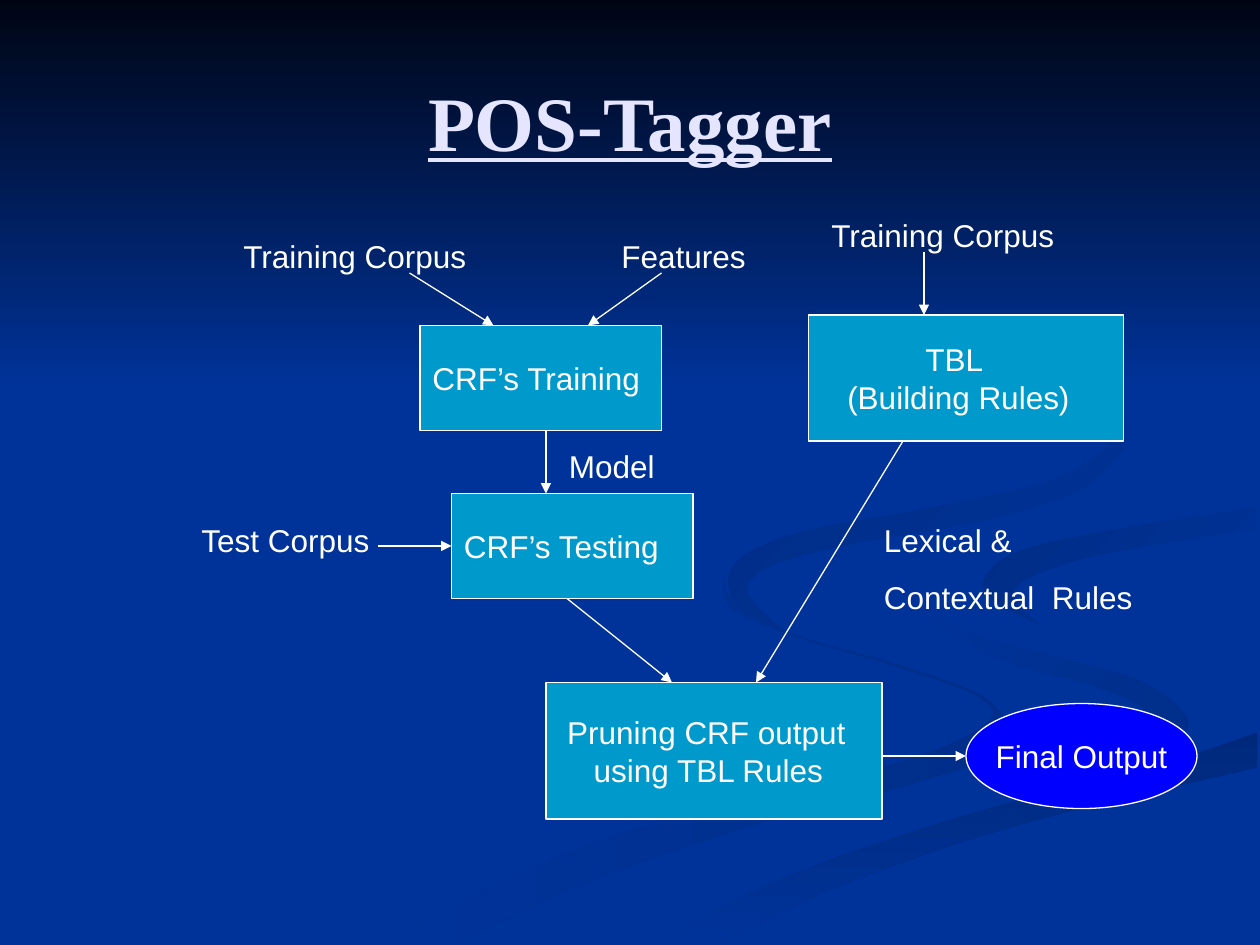
"""Build the POS-Tagger flow diagram on a grid of twelfths of an inch."""
from lxml import etree
from pptx import Presentation
from pptx.dml import color
from pptx.enum import shapes, text
from pptx.oxml import ns
from pptx.util import Inches, Pt

GRID = 12
CURVE_STEPS = 6
WHITE, NAVY, TEAL, BLUE = "FFFFFF", "003399", "0099CC", "0000FF"
LEFT, CENTER = text.PP_ALIGN.LEFT, text.PP_ALIGN.CENTER
TOP, MIDDLE = text.MSO_ANCHOR.TOP, text.MSO_ANCHOR.MIDDLE
RECTANGLE, OVAL = shapes.MSO_SHAPE.RECTANGLE, shapes.MSO_SHAPE.OVAL


def paint(value):
    """Return the colour for a hex string."""
    return color.RGBColor.from_string(value)


def smooth(knots):
    """Return points of a Catmull-Rom curve through the knots."""
    padded = [knots[0], *knots, knots[-1]]
    points = [knots[0]]
    for corners in zip(padded, padded[1:], padded[2:], padded[3:]):
        for step in range(1, CURVE_STEPS + 1):
            t = step / CURVE_STEPS
            points.append(tuple(
                b + t * (c - a) / 2 + t**2 * (2*a - 5*b + 4*c - d) / 2 + t**3 * (3*b - a - 3*c + d) / 2
                for a, b, c, d in zip(*corners)))
    return points


deck = Presentation()
deck.slide_width, deck.slide_height = Inches(10), Inches(7.5)
page = deck.slides.add_slide(deck.slide_layouts[6])
page.background.fill.solid()
page.background.fill.fore_color.rgb = paint(NAVY)

lower_left_ribbon = [
    [(5.75, 4.59), (5.81, 4.83), (6.31, 5.05), (7.14, 5.3), (7.76, 5.53), (7.83, 5.74),
     (7.14, 6.05), (5.79, 6.39), (4.58, 6.74), (3, 7.49)],
    [(3.61, 7.49), (4.66, 7), (5.94, 6.56), (7.21, 6.23), (7.86, 6.01), (8, 5.81),
     (7.81, 5.53), (7.15, 5.28), (6.26, 5.02), (5.79, 4.73), (5.75, 4.59)]]
right_ribbon = [
    [(7.24, 4.64), (7.33, 4.88), (7.97, 5.24), (8.68, 5.44), (9.07, 5.62), (9.17, 5.85), (8.94, 6.05)],
    [(8.94, 6.05), (9.32, 5.89), (9.43, 5.7), (9.05, 5.4), (8.3, 5.19), (7.58, 4.98), (7.24, 4.64)]]
bottom_ribbon = [
    [(5.03, 7.49), (5.69, 7.19), (6.96, 6.69), (8.31, 6.29), (9.36, 6.02), (9.98, 5.81)],
    [(9.98, 6.09), (8.21, 6.51), (6.95, 6.92), (6.14, 7.26), (5.71, 7.49)]]
main_ribbon = [
    [(9.99, 3.87), (9.2, 4.01), (8.3, 4.15), (7.55, 4.32), (7.25, 4.64), (7.59, 4.98), (8.31, 5.19),
     (9.05, 5.4), (9.43, 5.7), (9.19, 5.97), (8.13, 6.25), (6.63, 6.68), (4.77, 7.49)],
    [(5.19, 7.47), (6.3, 6.93), (7.65, 6.47), (9.04, 6.1), (9.99, 5.81)],
    [(9.99, 5.38), (9.04, 5.19), (8.17, 4.92), (7.81, 4.63), (8.11, 4.37), (8.99, 4.18), (9.99, 4.02)]]
edge_ribbon = [
    [(9.98, 4.02), (8.98, 4.18), (8.1, 4.37), (7.81, 4.6), (7.91, 4.78), (8.26, 4.96)],
    [(8.26, 4.96), (8.05, 4.76), (8.16, 4.59), (8.78, 4.39), (9.98, 4.2)]]
upper_ribbon = [
    [(7.62, 2.33), (8.21, 2.61), (8.73, 2.99), (8.94, 3.44), (8.67, 3.84), (7.86, 4.12), (6.83, 4.3),
     (6.14, 4.48), (5.93, 4.7), (6.22, 5)],
    [(6.22, 5), (5.84, 4.79), (5.84, 4.46), (6.37, 4.22), (7.33, 4.04), (8.42, 3.78), (8.89, 3.35),
     (8.62, 2.92), (7.62, 2.33)]]
sky = [[(0, 0), (0, 3.08)], [(10, 3.08), (10, 0)]]

backdrop = [
    (lower_left_ribbon, "002E8A", NAVY, 180),
    (right_ribbon, "002E8A", NAVY, 135),
    (bottom_ribbon, "00297C", NAVY, 270),
    (main_ribbon, NAVY, NAVY, 0),
    (edge_ribbon, NAVY, "002C85", 135),
    (upper_ribbon, NAVY, "002B81", 135),
    (sky, "000514", NAVY, 270)]
for edges, first, last, angle in backdrop:
    outline = [(Inches(x), Inches(y)) for edge in edges for x, y in smooth(edge)]
    builder = page.shapes.build_freeform(*outline[0])
    builder.add_line_segments(outline[1:], close=True)
    area = builder.convert_to_shape()
    area.shadow.inherit = False
    area.line.fill.background()
    if first == last:
        area.fill.solid()
        area.fill.fore_color.rgb = paint(first)
    else:
        area.fill.gradient()
        area.fill.gradient_angle = angle
        for stop, value in zip(area.fill.gradient_stops, (first, last)):
            stop.color.rgb = paint(value)

heading = page.shapes.add_textbox(*[Inches(n / GRID) for n in (6, 4, 108, 15)])
heading.text_frame.word_wrap = True
heading.text_frame.vertical_anchor = MIDDLE
para = heading.text_frame.paragraphs[0]
para.alignment = CENTER
span = para.add_run()
span.text = "POS-Tagger"
span.font.name, span.font.size = "Times New Roman", Pt(44)
span.font.bold = span.font.underline = True
span.font.color.rgb = paint("E5E5FF")

steps = [
    (RECTANGLE, (40, 31, 23, 10), TEAL, LEFT, [("CRF’s Training", 0)]),
    (RECTANGLE, (77, 30, 30, 12), TEAL, LEFT, [("TBL", 0.83), ("(Building Rules)", 0.21)]),
    (RECTANGLE, (43, 47, 23, 10), TEAL, LEFT, [("CRF’s Testing", 0)]),
    (RECTANGLE, (52, 65, 32, 13), TEAL, LEFT, [("Pruning CRF output", 0.07), ("using TBL Rules", 0.28)]),
    (OVAL, (92, 67, 22, 10), BLUE, CENTER, [("Final Output", 0)])]
labels = [
    (None, (22, 22, 24, 5), None, LEFT, [("Training Corpus", 0)]),
    (None, (58, 22, 17, 5), None, LEFT, [("Features", 0)]),
    (None, (78, 20, 24, 5), None, LEFT, [("Training Corpus", 0)]),
    (None, (53, 42, 11, 5), None, LEFT, [("Model", 0)]),
    (None, (18, 49, 19, 5), None, LEFT, [("Test Corpus", 0)]),
    (None, (83, 49, 27, 10), None, LEFT, [("Lexical &", 0), ("Contextual  Rules", 0)])]
for kind, cells, fill, align, lines in steps + labels:
    place = [Inches(n / GRID) for n in cells]
    if kind is None:
        box = page.shapes.add_textbox(*place)
    else:
        box = page.shapes.add_shape(kind, *place)
        box.shadow.inherit = False
        box.fill.solid()
        box.fill.fore_color.rgb = paint(fill)
        box.line.color.rgb = paint(WHITE)
        box.line.width = Pt(0.75)
    frame = box.text_frame
    frame.word_wrap = kind is None
    frame.vertical_anchor = TOP if kind is None else MIDDLE
    for number, (wording, indent) in enumerate(lines):
        para = frame.add_paragraph() if number else frame.paragraphs[0]
        para.alignment = align
        para._p.get_or_add_pPr().set("marL", str(Inches(indent)))
        if kind is None and number:
            para.space_before = Pt(11.2)
        span = para.add_run()
        span.text = wording
        span.font.name, span.font.size = "Arial", Pt(18)
        span.font.color.rgb = paint(WHITE)

corpus_to_training = (39, 26, 47, 31)
features_to_training = (63, 26, 56, 31)
corpus_to_rules = (88, 24, 88, 30)
training_to_testing = (52, 41, 52, 47)
corpus_to_testing = (36, 52, 43, 52)
testing_to_pruning = (54, 57, 64, 65)
rules_to_pruning = (86, 42, 72, 65)
pruning_to_output = (84, 72, 92, 72)
for ends in (corpus_to_training, features_to_training, corpus_to_rules, training_to_testing,
             corpus_to_testing, testing_to_pruning, rules_to_pruning, pruning_to_output):
    arrow = page.shapes.add_connector(
        shapes.MSO_CONNECTOR.STRAIGHT, *[Inches(n / GRID) for n in ends])
    arrow.line.color.rgb = paint(WHITE)
    arrow.line.width = Pt(0.75)
    etree.SubElement(arrow.line._get_or_add_ln(), ns.qn("a:tailEnd"), type="triangle")
    etree.SubElement(arrow._element.spPr, ns.qn("a:effectLst"))

deck.save("out.pptx")
